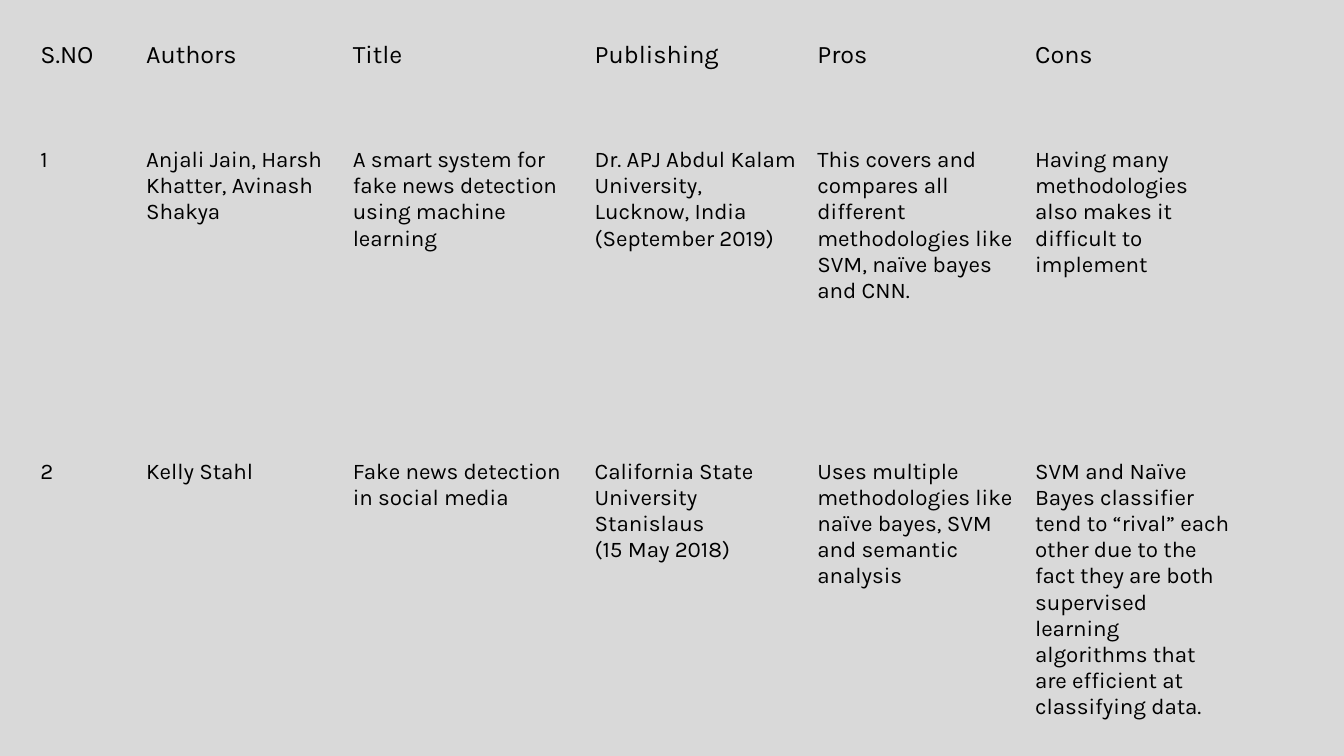
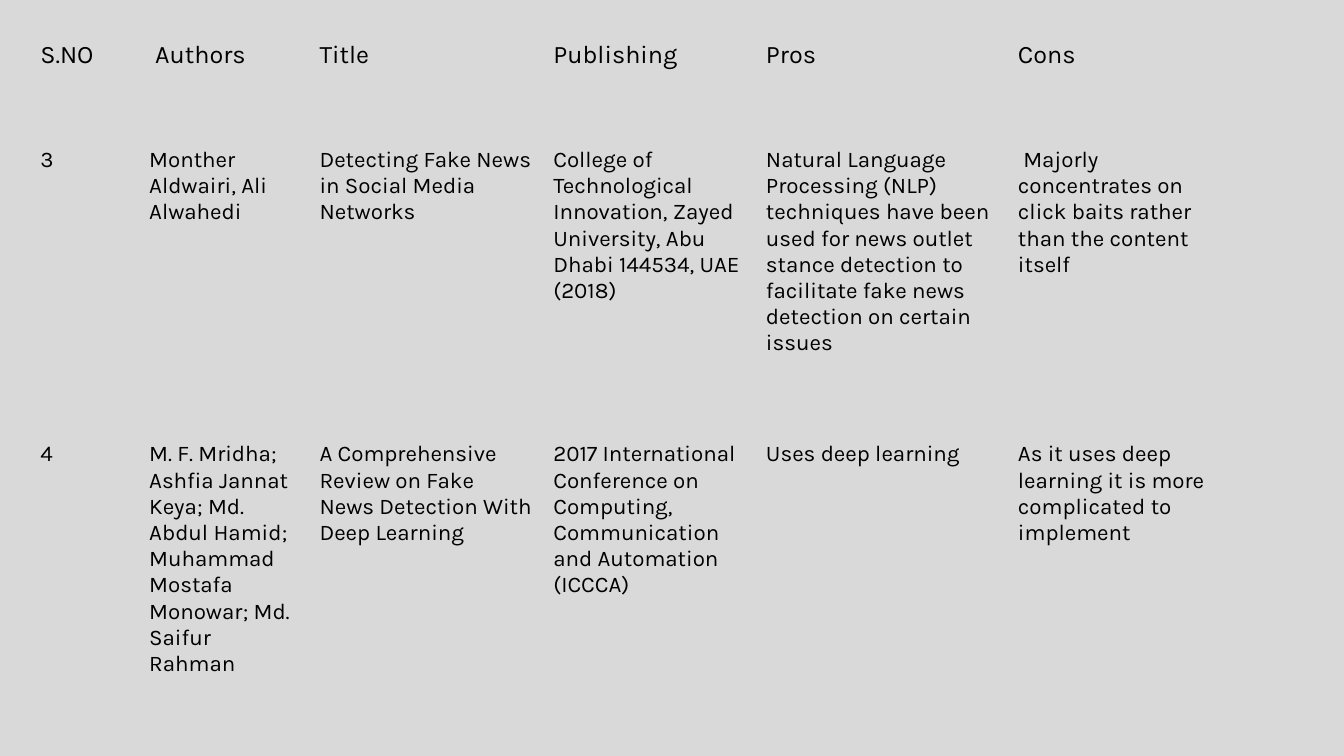
from lxml import etree
from pptx import Presentation
from pptx.dml.color import RGBColor
from pptx.enum.text import MSO_ANCHOR, PP_ALIGN
from pptx.oxml.ns import qn
from pptx.util import Pt

TOP = MSO_ANCHOR.TOP
LEFT = PP_ALIGN.LEFT
COLORS = {"background": "D9D9D9", "text": "000000"}
FONT = "Karla"
HEADER_SIZE, BODY_SIZE = 18, 16
TABLE_LEFT, TABLE_TOP = 21.6, 25.2
HEADER_HEIGHT, LAST_HEIGHT = 76.3, 194.4
NO_GRID_STYLE = "{2D5ABB26-0587-4C30-8999-92F81FD0307C}"
HEADINGS = ["S.NO", "Authors", "Title", "Publishing", "Pros", "Cons"]

SURVEYS = [
    {
        "widths": [75.6, 147.6, 172.8, 159.1, 155.5, 155.5],
        "first_height": 222.5,
        "headings": HEADINGS,
        "papers": [
            ["1", "Anjali Jain, Harsh Khatter, Avinash Shakya",
             "A smart system for fake news detection using machine learning",
             "Dr. APJ Abdul Kalam University, Lucknow, India\n(September 2019)",
             "This covers and compares all different methodologies like SVM, naïve bayes and CNN.",
             "Having many methodologies also makes it difficult to implement"],
            ["2", "Kelly Stahl",
             "Fake news detection in social media",
             "California State University Stanislaus\n(15 May 2018)",
             "Uses multiple methodologies like naïve bayes, SVM and semantic analysis",
             "SVM and Naïve Bayes classifier tend to “rival” each other due to the fact "
             "they are both supervised learning algorithms that are efficient at classifying data."],
        ],
    },
    {
        "widths": [77.8, 121.7, 167, 151.9, 180, 157.7],
        "first_height": 210.2,
        "headings": [HEADINGS[0], " Authors", *HEADINGS[2:]],
        "papers": [
            ["3", "Monther Aldwairi, Ali Alwahedi",
             "Detecting Fake News in Social Media Networks",
             "College of Technological Innovation, Zayed University, Abu Dhabi 144534, UAE\n(2018)",
             "Natural Language Processing (NLP) techniques have been used for news outlet "
             "stance detection to facilitate fake news detection on certain issues",
             " Majorly concentrates on click baits rather than the content itself"],
            ["4", "M. F. Mridha; Ashfia Jannat Keya; Md. Abdul Hamid; Muhammad Mostafa "
             "Monowar; Md. Saifur Rahman",
             "A Comprehensive Review on Fake News Detection With Deep Learning",
             "2017 International Conference on Computing, Communication and Automation (ICCCA)",
             "Uses deep learning",
             "As it uses deep learning it is more complicated to implement"],
        ],
    },
]


def write_text(text_frame, text, *, size=BODY_SIZE, color="text", bold=False, align=LEFT):
    for index, line in enumerate(text.split("\n")):
        paragraph = text_frame.add_paragraph() if index else text_frame.paragraphs[0]
        paragraph.alignment = align
        run = paragraph.add_run()
        run.text = line
        run.font.name = FONT
        run.font.size = Pt(size)
        run.font.bold = bold
        run.font.color.rgb = RGBColor.from_string(COLORS[color])


class SurveyDeck:
    def __init__(self):
        self.presentation = Presentation()
        self.presentation.slide_width = Pt(960)
        self.presentation.slide_height = Pt(540)
        self.slide = None

    def add_slide(self):
        self.slide = self.presentation.slides.add_slide(self.presentation.slide_layouts[6])
        fill = self.slide.background.fill
        fill.solid()
        fill.fore_color.rgb = RGBColor.from_string(COLORS["background"])

    def add_table(self, rows, widths, heights):
        table = self.slide.shapes.add_table(
            len(rows), len(widths), Pt(TABLE_LEFT), Pt(TABLE_TOP),
            Pt(sum(widths)), Pt(sum(heights))).table
        table.first_row = table.horz_banding = False
        table._tbl.tblPr.find(qn("a:tableStyleId")).text = NO_GRID_STYLE
        for column, width in zip(table.columns, widths):
            column.width = Pt(width)
        for row_index, (row, height, texts) in enumerate(zip(table.rows, heights, rows)):
            row.height = Pt(height)
            for cell, text in zip(row.cells, texts):
                self.format_cell(cell)
                write_text(cell.text_frame, text,
                           size=BODY_SIZE if row_index else HEADER_SIZE)

    def format_cell(self, cell):
        cell.vertical_anchor = TOP
        properties = cell._tc.get_or_add_tcPr()
        for side in ("a:lnL", "a:lnR", "a:lnT", "a:lnB"):
            border = etree.SubElement(properties, qn(side))
            etree.SubElement(border, qn("a:noFill"))
        cell.fill.background()


def main():
    deck = SurveyDeck()
    for survey in SURVEYS:
        deck.add_slide()
        deck.add_table([survey["headings"], *survey["papers"]], survey["widths"],
                       [HEADER_HEIGHT, survey["first_height"], LAST_HEIGHT])
    deck.presentation.save("out.pptx")


if __name__ == "__main__":
    main()
